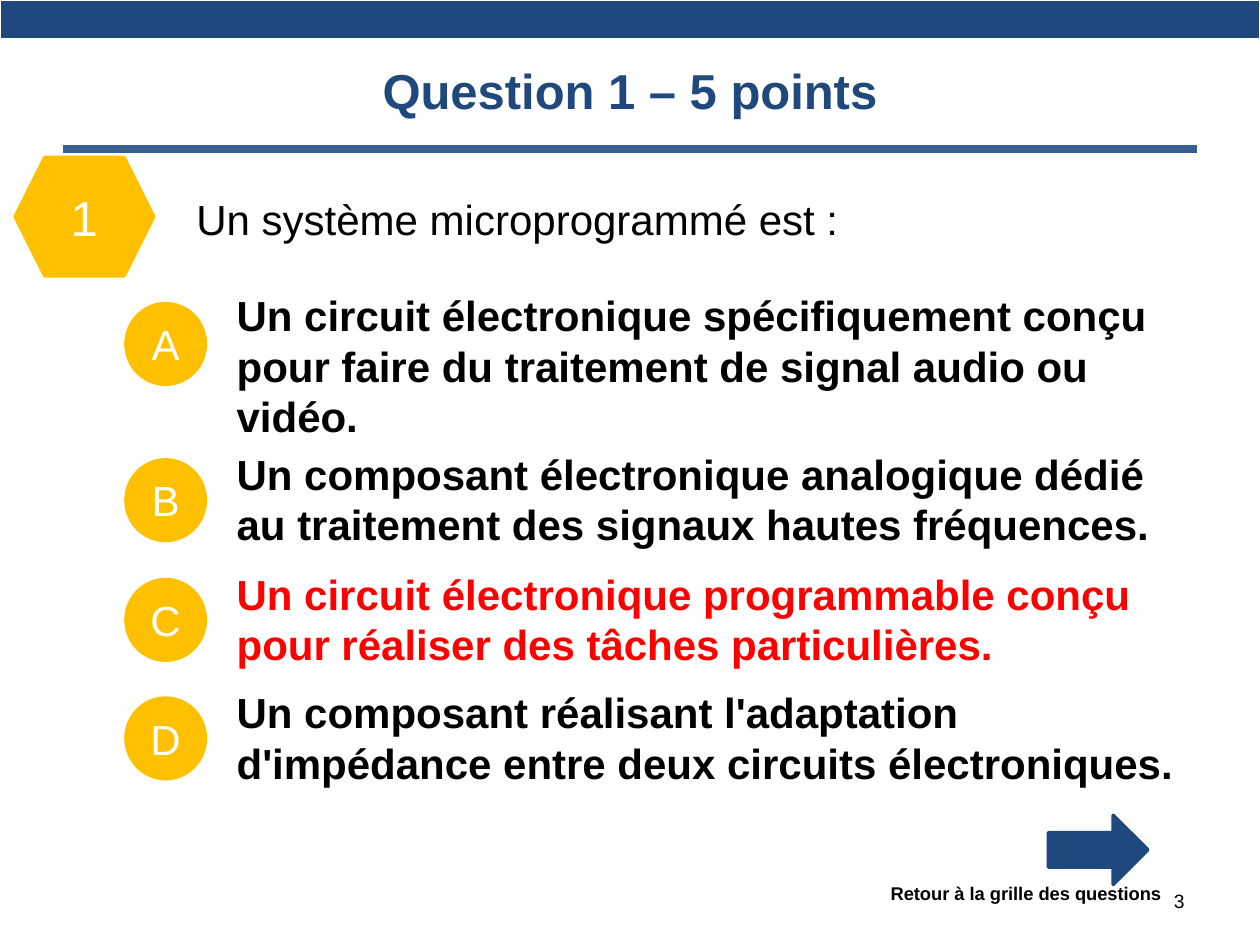
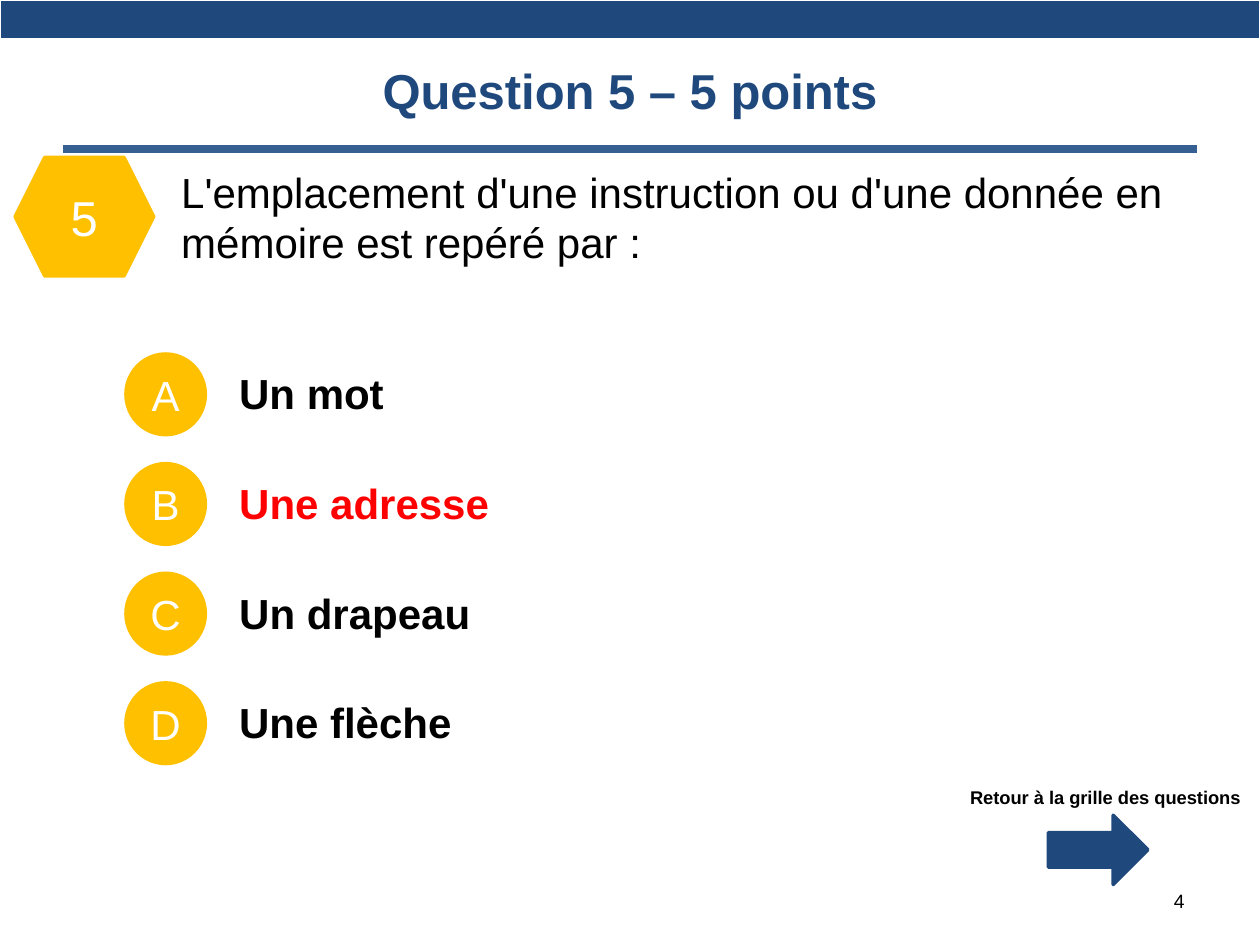
from dataclasses import dataclass

from lxml import etree
from pptx import Presentation
from pptx.dml.color import RGBColor
from pptx.enum.shapes import MSO_CONNECTOR, MSO_SHAPE
from pptx.enum.text import MSO_ANCHOR, MSO_AUTO_SIZE, PP_ALIGN
from pptx.oxml.ns import qn
from pptx.util import Inches, Pt

HEX, DOT, ARROW = MSO_SHAPE.HEXAGON, MSO_SHAPE.FLOWCHART_CONNECTOR, MSO_SHAPE.RIGHT_ARROW
STRAIGHT = MSO_CONNECTOR.STRAIGHT
LEFT, CENTER, RIGHT = PP_ALIGN.LEFT, PP_ALIGN.CENTER, PP_ALIGN.RIGHT
TOP, MIDDLE = MSO_ANCHOR.TOP, MSO_ANCHOR.MIDDLE
GROW, FIXED = MSO_AUTO_SIZE.SHAPE_TO_FIT_TEXT, MSO_AUTO_SIZE.NONE

FONT = "Arial"
NAVY, BLUE, GOLD = "1F497D", "376092", "FFC000"
BLACK, WHITE, RED = "000000", "FFFFFF", "FF0000"


@dataclass
class Box:
    left: float
    top: float
    width: float
    height: float

    def lengths(self) -> tuple:
        return tuple(Inches(n) for n in (self.left, self.top, self.width, self.height))


@dataclass
class Choice:
    words: str
    dot_top: float  # top of the letter disc
    box: Box
    right: bool = False


@dataclass
class Quiz:
    number: int
    page: int
    prompt: str
    prompt_box: Box
    back_box: Box
    choices: list
    wrap: bool


def color(code: str) -> RGBColor:
    return RGBColor.from_string(code)


def write(frame, text: str, size: float, code: str, bold=False, align=LEFT,
          anchor=TOP) -> None:
    frame.vertical_anchor = anchor
    para = frame.paragraphs[0]
    para.text = text
    para.alignment = align
    font = para.font
    font.name, font.size, font.bold = FONT, Pt(size), bold
    font.color.rgb = color(code)


def add_text(slide, box: Box, text: str, size: float, code=BLACK, bold=False,
             align=LEFT, anchor=TOP, wrap=True, fit=GROW) -> None:
    frame = slide.shapes.add_textbox(*box.lengths()).text_frame
    frame.word_wrap = wrap
    frame.auto_size = fit
    write(frame, text, size, code, bold, align, anchor)


def add_badge(slide, kind, box: Box, code: str, text="", size=24) -> None:
    shape = slide.shapes.add_shape(kind, *box.lengths())
    shape.shadow.inherit = False
    shape.fill.solid()
    shape.fill.fore_color.rgb = color(code)
    shape.line.color.rgb = color(code)
    shape.line.width = Pt(2)
    if text:
        write(shape.text_frame, text, size, WHITE, align=CENTER, anchor=MIDDLE)


def add_frame(slide, quiz: Quiz) -> None:
    # Rule under the title
    rule = slide.shapes.add_connector(
        STRAIGHT, Inches(0.5), Inches(1.18), Inches(9.5), Inches(1.18))
    rule.line.color.rgb = color(BLUE)
    rule.line.width = Pt(4.5)
    props = rule._element.find(qn("p:spPr"))
    etree.SubElement(props, qn("a:effectLst"))

    # Top band
    band = slide.shapes.add_table(1, 1, *Box(0, 0, 10, 0.31).lengths()).table
    cell = band.cell(0, 0)
    cell.margin_top = cell.margin_bottom = 0
    cell.fill.solid()
    cell.fill.fore_color.rgb = color(NAVY)

    # Title and page number
    title = slide.shapes.title
    title.left, title.top, title.width, title.height = Box(0.5, 0.17, 9, 1.08).lengths()
    write(title.text_frame, f"Question {quiz.number} – 5 points", 28, NAVY,
          True, CENTER, MIDDLE)
    add_text(slide, Box(7.17, 6.95, 2.33, 0.4), str(quiz.page), 11,
             align=RIGHT, anchor=MIDDLE, fit=FIXED)


def add_quiz(deck, quiz: Quiz) -> None:
    slide = deck.slides.add_slide(deck.slide_layouts[5])
    add_frame(slide, quiz)

    # Question number, way back and prompt
    add_badge(slide, HEX, Box(0.12, 1.25, 1.1, 0.94), GOLD, str(quiz.number), 28)
    add_badge(slide, ARROW, Box(8.32, 6.47, 0.79, 0.55), NAVY)
    add_text(slide, quiz.back_box, "Retour à la grille des questions", 10.5,
             bold=True, wrap=False)
    add_text(slide, quiz.prompt_box, quiz.prompt, 24)

    # Answers
    for letter, choice in zip("ABCD", quiz.choices):
        add_badge(slide, DOT, Box(1, choice.dot_top, 0.63, 0.64), GOLD, letter)
        add_text(slide, choice.box, choice.words, 24,
                 RED if choice.right else BLACK, True, wrap=quiz.wrap)


def long_choice(words: str, dot: float, top: float, height=0.91, right=False) -> Choice:
    return Choice(words, dot, Box(1.78, top, 7.7, height), right)


def short_choice(row: int, words: str, width: float, right=False) -> Choice:
    dot = 2.81 + 0.87 * row
    return Choice(words, dot, Box(1.8, dot + 0.06, width, 0.5), right)


QUIZZES = [
    Quiz(1, 3, "Un système microprogrammé est :",
         Box(1.46, 1.49, 8.35, 0.5), Box(6.97, 6.95, 2.38, 0.28), [
             long_choice("Un circuit électronique spécifiquement conçu pour faire "
                         "du traitement de signal audio ou vidéo.", 2.41, 2.25, 1.31),
             long_choice("Un composant électronique analogique dédié au traitement "
                         "des signaux hautes fréquences.", 3.65, 3.51),
             long_choice("Un circuit électronique programmable conçu pour réaliser "
                         "des tâches particulières.", 4.6, 4.46, right=True),
             long_choice("Un composant réalisant l'adaptation d'impédance entre "
                         "deux circuits électroniques.", 5.54, 5.4),
         ], wrap=True),
    Quiz(5, 4, "L'emplacement d'une instruction ou d'une donnée en mémoire "
         "est repéré par :",
         Box(1.34, 1.27, 8.16, 0.91), Box(7.6, 6.19, 2.38, 0.28), [
             short_choice(0, "Un mot", 1.36),
             short_choice(1, "Une adresse", 2.21, right=True),
             short_choice(2, "Un drapeau", 2.05),
             short_choice(3, "Une flèche", 1.9),
         ], wrap=False),
]


def main() -> None:
    deck = Presentation()
    deck.slide_width, deck.slide_height = Inches(10), Inches(7.5)
    for quiz in QUIZZES:
        add_quiz(deck, quiz)
    deck.save("out.pptx")


if __name__ == "__main__":
    main()
